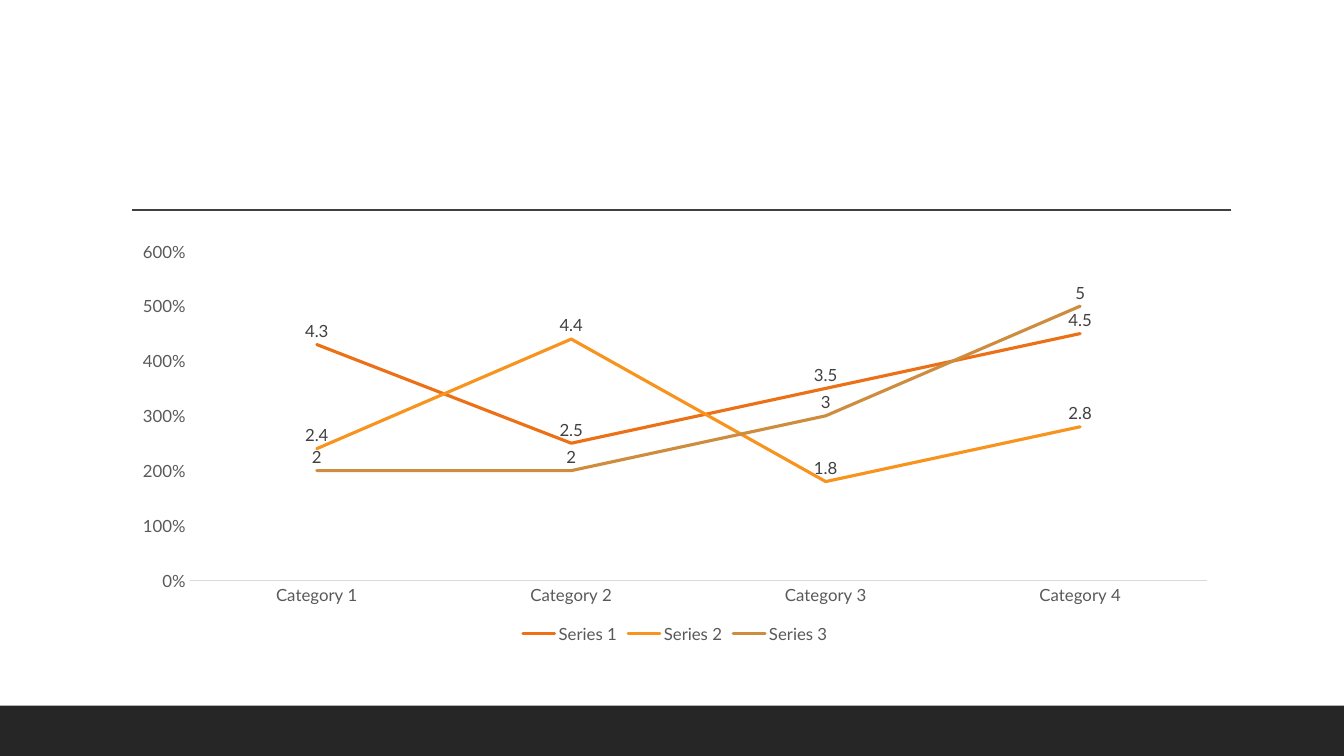
from pptx import Presentation
from pptx import util as u
from pptx.chart import data as cd
from pptx.dml.color import RGBColor
from pptx.enum import chart as ch
from pptx.enum import shapes as sh
from pptx.oxml import xmlchemy as xc

PX = 9525
WIDE, HIGH = 1280, 720
FONT = "Lato"
DARK = RGBColor(0x26, 0x26, 0x26)
INK = RGBColor(0x40, 0x40, 0x40)
GRAY = RGBColor(0x59, 0x59, 0x59)
PALE = RGBColor(0xD9, 0xD9, 0xD9)
RUST = RGBColor(0xEC, 0x70, 0x16)
GOLD = RGBColor(0xF8, 0x93, 0x1D)
TAN = RGBColor(0xCE, 0x8D, 0x3E)

GROUPS = ["Category 1", "Category 2", "Category 3", "Category 4"]
TRENDS = [
    ("Series 1", (4.3, 2.5, 3.5, 4.5), RUST),
    ("Series 2", (2.4, 4.4, 1.8, 2.8), GOLD),
    ("Series 3", (2, 2, 3, 5), TAN),
]


def px(*nums):
    return [u.Emu(n * PX) for n in nums]


def set_font(font, color):
    font.name = FONT
    font.size = u.Pt(12)
    font.bold = False
    font.color.rgb = color


def add_bar(slide, x, y, w, h):
    bar = slide.shapes.add_shape(sh.MSO_SHAPE.RECTANGLE, *px(x, y, w, h))
    bar.shadow.inherit = False
    bar.fill.solid()
    bar.fill.fore_color.rgb = DARK
    bar.line.fill.background()


def add_rule(slide, x, y, end):
    rule = slide.shapes.add_connector(
        sh.MSO_CONNECTOR.STRAIGHT, *px(x, y, end, y))
    rule.line.color.rgb = INK
    rule.line.width = u.Pt(1)
    rule._element.spPr.append(xc.OxmlElement("a:effectLst"))


def style_axis(axis):
    axis.has_major_gridlines = False
    axis.major_tick_mark = ch.XL_TICK_MARK.NONE
    axis.minor_tick_mark = ch.XL_TICK_MARK.NONE
    set_font(axis.tick_labels.font, GRAY)


def style_trend(trend, color):
    trend.smooth = False
    trend.marker.style = ch.XL_MARKER_STYLE.NONE
    trend.format.line.color.rgb = color
    trend.format.line.width = u.Pt(2.25)
    trend.format.line._get_or_add_ln().set("cap", "rnd")
    tags = trend.data_labels
    tags.show_value = True
    tags.position = ch.XL_LABEL_POSITION.ABOVE
    tags.number_format = "General"
    tags.number_format_is_linked = False
    set_font(tags.font, INK)


def add_trends(slide, x, y, w, h):
    data = cd.CategoryChartData()
    data.categories = GROUPS
    for name, vals, _ in TRENDS:
        data.add_series(name, vals)
    chart = slide.shapes.add_chart(
        ch.XL_CHART_TYPE.LINE, *px(x, y, w, h), data).chart
    chart.has_title = False
    set_font(chart.font, GRAY)
    chart.plots[0].vary_by_categories = False

    style_axis(chart.category_axis)
    base = chart.category_axis.format.line
    base.color.rgb = PALE
    base.width = u.Pt(0.75)

    scale = chart.value_axis
    style_axis(scale)
    scale.format.line.fill.background()
    scale.minimum_scale, scale.maximum_scale = 0, 6
    scale.major_unit = 1
    scale.tick_labels.number_format = "0%"
    scale.tick_labels.number_format_is_linked = False

    chart.has_legend = True
    chart.legend.position = ch.XL_LEGEND_POSITION.BOTTOM
    chart.legend.include_in_layout = False
    set_font(chart.legend.font, GRAY)

    for trend, (_, _, color) in zip(chart.plots[0].series, TRENDS):
        style_trend(trend, color)


def main():
    deck = Presentation()
    deck.slide_width, deck.slide_height = px(WIDE, HIGH)
    slide = deck.slides.add_slide(deck.slide_layouts[6])
    add_bar(slide, 0, 672, WIDE, 48)
    add_rule(slide, 126, 200, 1172)
    add_trends(slide, 115, 222, 1056, 395)
    deck.save("out.pptx")


if __name__ == "__main__":
    main()
